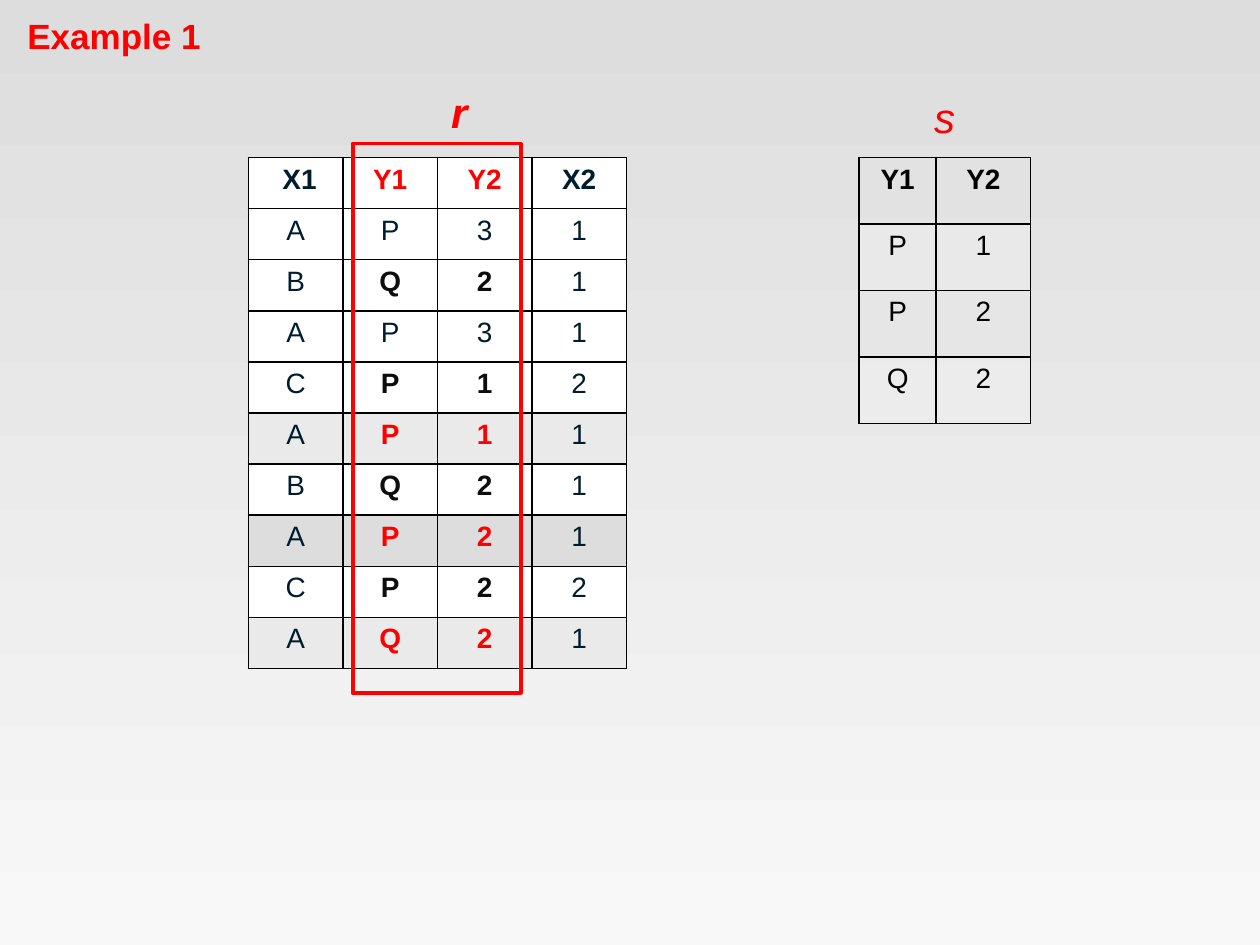
import pptx
import pptx.util
import pptx.dml.color
import pptx.enum.dml
import pptx.enum.shapes
import pptx.enum.text
import pptx.oxml
import pptx.oxml.ns
from lxml import etree

Pt = pptx.util.Pt
RGB = pptx.dml.color.RGBColor.from_string
ALIGN = pptx.enum.text.PP_ALIGN
ANCHOR = pptx.enum.text.MSO_ANCHOR

THEME = {
    "font": "Arial", "title": 20, "label": 24, "cell": 16,
    "red": "FF0000", "navy": "001D2E", "ink": "0D0D0D", "black": "000000",
    "white": "FFFFFF", "pale": "EAEAEA", "grey": "DDDDDD",
    "background": ("DDDDDD", "F8F8F8"),
}

# Each row: values, row fill, colour of a bold Y pair (None for plain)
R_HEADER = (" X1", "Y1", "Y2", "X2")
R_ROWS = [
    ("AP31", "white", None),
    ("BQ21", "white", "ink"),
    ("AP31", "white", None),
    ("CP12", "white", "ink"),
    ("AP11", "pale", "red"),
    ("BQ21", "white", "ink"),
    ("AP21", "grey", "red"),
    ("CP22", "white", "ink"),
    ("AQ21", "pale", "red"),
]
S_HEADER = ("Y1", "Y2")
S_ROWS = ["P1", "P2", "Q2"]
Y_COLUMNS = (1, 2)
TABLE_TOP = 90


def write(frame, text, *, size, color, bold=False, italic=False, align=ALIGN.CENTER):
    paragraph = frame.paragraphs[0]
    paragraph.alignment = align
    run = paragraph.add_run()
    run.text = text
    font = run.font
    font.name, font.size = THEME["font"], Pt(THEME[size])
    font.bold, font.italic = bold, italic
    font.color.rgb = RGB(THEME[color])


def add_label(slide, text, left, top, width, height, anchor=ANCHOR.MIDDLE, **style):
    box = slide.shapes.add_textbox(Pt(left), Pt(top), Pt(width), Pt(height))
    box.text_frame.word_wrap = False
    box.text_frame.vertical_anchor = anchor
    write(box.text_frame, text, **style)


def outline_cell(cell):
    """Put a 1 pt black border on all four sides, ahead of the fill."""
    properties = cell._tc.get_or_add_tcPr()
    for index, side in enumerate(("lnL", "lnR", "lnT", "lnB")):
        properties.insert(index, pptx.oxml.parse_xml(
            f'<a:{side} {pptx.oxml.ns.nsdecls("a")} w="{Pt(1)}"><a:solidFill>'
            f'<a:srgbClr val="{THEME["black"]}"/></a:solidFill></a:{side}>'))


def fill_cell(cell, fill, opacity=100):
    if fill is None:
        cell.fill.background()
        return
    cell.fill.solid()
    cell.fill.fore_color.rgb = RGB(THEME[fill])
    if opacity < 100:
        color = cell._tc.tcPr.find(".//" + pptx.oxml.ns.qn("a:srgbClr"))
        etree.SubElement(color, pptx.oxml.ns.qn("a:alpha"), val=str(opacity * 1000))


def add_grid(slide, left, column_widths, row_height, rows):
    """Each row is a list of (text, colour, bold, fill, opacity) cells."""
    table = slide.shapes.add_table(
        len(rows), len(column_widths), Pt(left), Pt(TABLE_TOP),
        Pt(sum(column_widths)), Pt(row_height * len(rows))).table
    table.first_row = table.horz_banding = False
    for column, width in zip(table.columns, column_widths):
        column.width = Pt(width)
    for r, row in enumerate(rows):
        table.rows[r].height = Pt(row_height)
        for c, (text, color, bold, fill, opacity) in enumerate(row):
            cell = table.cell(r, c)
            write(cell.text_frame, text, size="cell", color=color, bold=bold)
            fill_cell(cell, fill, opacity)
            outline_cell(cell)


def r_cells():
    yield [(text, "red" if c in Y_COLUMNS else "navy", True, "white", 100)
           for c, text in enumerate(R_HEADER)]
    for values, fill, mark in R_ROWS:
        marked = Y_COLUMNS if mark else ()
        yield [(text, mark if c in marked else "navy", c in marked, fill, 100)
               for c, text in enumerate(values)]


def s_cells():
    yield [(text, "black", True, None, 100) for text in S_HEADER]
    for index, values in enumerate(S_ROWS):
        fill = "white" if index % 2 == 0 else None
        yield [(text, "black", False, fill, 20) for text in values]


def main():
    deck = pptx.Presentation()
    deck.slide_width, deck.slide_height = Pt(720), Pt(540)
    slide = deck.slides.add_slide(deck.slide_layouts[6])

    backdrop = slide.background.fill
    backdrop.gradient()
    backdrop.gradient_angle = 270
    for stop, color in zip(backdrop.gradient_stops, THEME["background"]):
        stop.color.rgb = RGB(color)

    add_grid(slide, 491, (44, 54), 38, list(s_cells()))
    add_grid(slide, 142, (54,) * 4, 29.2, list(r_cells()))

    add_label(slide, "r", 250.5, 46, 24, 36, size="label", color="red",
              bold=True, italic=True)
    add_label(slide, "s", 526.5, 48.5, 26.5, 36.5, size="label", color="red", italic=True)

    y_frame = slide.shapes.add_shape(
        pptx.enum.shapes.MSO_SHAPE.RECTANGLE, Pt(201.5), Pt(82), Pt(96), Pt(314))
    y_frame.shadow.inherit = False
    y_frame.fill.background()
    y_frame.line.color.rgb = RGB(THEME["red"])
    y_frame.line.width = Pt(2.25)

    add_label(slide, "Example 1", 8.5, 4.5, 114.5, 31.5, anchor=ANCHOR.TOP,
              size="title", color="red", bold=True, align=ALIGN.LEFT)
    deck.save("out.pptx")


if __name__ == "__main__":
    main()
